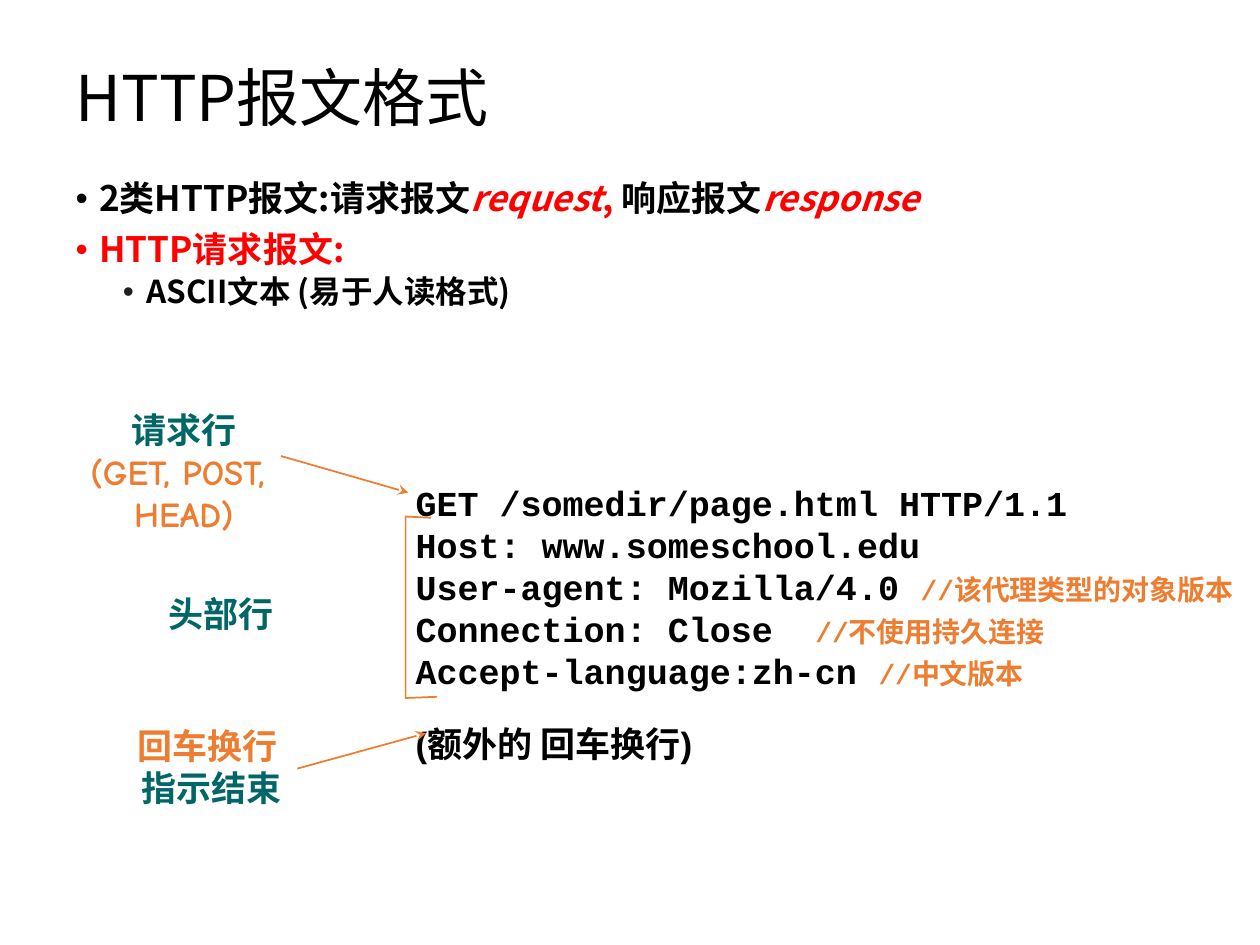
"""Build a slide on the HTTP request message format."""
import pptx
import pptx.dml.color
import pptx.enum.shapes
import pptx.enum.text
import pptx.oxml.ns
import pptx.util
import lxml.etree

Pt = pptx.util.Pt
RGB = pptx.dml.color.RGBColor.from_string
ALIGN = pptx.enum.text.PP_ALIGN
ANCHOR = pptx.enum.text.MSO_ANCHOR
qn = pptx.oxml.ns.qn


class Theme:
    black, red, teal, orange, grey = "000000", "FF0000", "006666", "ED7D31", "1F2021"
    sans, mono, comic, arial = "Noto Sans CJK SC", "Courier New", "Comic Neue", "Arial"
    title, text, sub, note = 36, 20, 18, 16
    line = 1


def add_run(p, text, font=Theme.sans, size=Theme.text, color=Theme.black, bold=True, italic=False):
    r = p.add_run()
    r.text = text
    r.font.name = font
    r.font.size = Pt(size)
    r.font.bold = bold
    r.font.italic = italic
    r.font.color.rgb = RGB(color)
    ea = lxml.etree.SubElement(r.font._element, qn("a:ea"))
    ea.set("typeface", Theme.sans)


def style_line(sp, arrow=False):
    sp.line.color.rgb = RGB(Theme.orange)
    sp.line.width = Pt(Theme.line)
    if arrow:
        tail = lxml.etree.SubElement(sp.line._get_or_add_ln(), qn("a:tailEnd"))
        tail.set("type", "stealth")
    lxml.etree.SubElement(sp._element.spPr, qn("a:effectLst"))


prs = pptx.Presentation()
prs.slide_width, prs.slide_height = Pt(720), Pt(540)
s = prs.slides.add_slide(prs.slide_layouts[1])

title, body = s.placeholders[0], s.placeholders[1]
title.left, title.top, title.width, title.height = Pt(36), Pt(21.6), Pt(648), Pt(72.7)
title.text_frame.vertical_anchor = ANCHOR.MIDDLE
p = title.text_frame.paragraphs[0]
p.alignment = ALIGN.LEFT
p.line_spacing = 0.9
add_run(p, "HTTP报文格式", size=Theme.title, bold=False)

body.left, body.top, body.width, body.height = Pt(36), Pt(100), Pt(648), Pt(382.3)
red = dict(color=Theme.red)
red_italic = dict(color=Theme.red, italic=True)
bullets = [
    (0, 0, Theme.black, [("2类HTTP报文:请求报文", {}), ("request", red_italic), (", ", red),
                         ("响应报文", {}), ("response", red_italic)]),
    (0, 7.5, Theme.red, [("HTTP请求报文:", red)]),
    (1, 3.8, Theme.grey, [("ASCII文本 (易于人读格式)", dict(size=Theme.sub))]),
]
tf = body.text_frame
for i, (level, before, color, runs) in enumerate(bullets):
    p = tf.add_paragraph() if i else tf.paragraphs[0]
    p.level = level
    p.line_spacing = 0.9
    p.space_before = Pt(before)
    pPr = p._p.get_or_add_pPr()
    pPr.set("marL", str(Pt(13.5 + 27 * level)))
    pPr.set("indent", str(Pt(-13.5)))
    clr = lxml.etree.SubElement(pPr, qn("a:buClr"))
    lxml.etree.SubElement(clr, qn("a:srgbClr")).set("val", color)
    lxml.etree.SubElement(pPr, qn("a:buFont")).set("typeface", Theme.arial)
    lxml.etree.SubElement(pPr, qn("a:buChar")).set("char", "•")
    for text, fmt in runs:
        add_run(p, text, **fmt)

code = dict(font=Theme.mono)
note = dict(font=Theme.mono, size=Theme.note, color=Theme.orange)
teal = dict(font=Theme.comic, color=Theme.teal)
orange = dict(font=Theme.comic, color=Theme.orange)
boxes = [
    ((230.4, 271.4, 489.6, 175), ALIGN.LEFT, True, [
        (0, [("GET /somedir/page.html HTTP/1.1", code)]),
        (0, [("Host: www.someschool.edu", code)]),
        (0, [("User-agent: Mozilla/4.0 ", code), ("//该代理类型的对象版本", note)]),
        (0, [("Connection: Close  ", code), ("//不使用持久连接", note)]),
        (0, [("Accept-language:zh-cn ", code), ("//中文版本", note)]),
        (18, [("(额外的 回车换行)", dict(font=Theme.arial))]),
    ]),
    ((15.8, 229.7, 178.6, 79.2), ALIGN.CENTER, True, [
        (0, [("请求行", teal)]),
        (0, [("(GET, POST, ", orange)]),
        (0, [("HEAD)", orange)]),
    ]),
    ((89.3, 334.8, 142.6, 31), ALIGN.LEFT, True, [(0, [("头部行", teal)])]),
    ((69.1, 410.4, 103.7, 55.4), ALIGN.CENTER, False, [
        (0, [("回车换行 ", orange)]),
        (0, [("指示结束", teal)]),
    ]),
]
for place, align, wrap, paragraphs in boxes:
    tf = s.shapes.add_textbox(*map(Pt, place)).text_frame
    tf.word_wrap = wrap
    for i, (before, runs) in enumerate(paragraphs):
        p = tf.add_paragraph() if i else tf.paragraphs[0]
        p.alignment = align
        if before:
            p.space_before = Pt(before)
        for text, fmt in runs:
            add_run(p, text, **fmt)

for ends in [(160.6, 260.6, 233.3, 281.5), (169.9, 439.2, 243.4, 419)]:
    sp = s.shapes.add_connector(pptx.enum.shapes.MSO_CONNECTOR.STRAIGHT, *map(Pt, ends))
    style_line(sp, arrow=True)

fb = s.shapes.build_freeform(Pt(246.2), Pt(295.9))
fb.add_line_segments([(Pt(x), Pt(y)) for x, y in [(231.8, 295.2), (231.8, 398.9), (249.8, 398.2)]],
                     close=False)
bracket = fb.convert_to_shape()
bracket.fill.background()
style_line(bracket)

prs.save("out.pptx")
